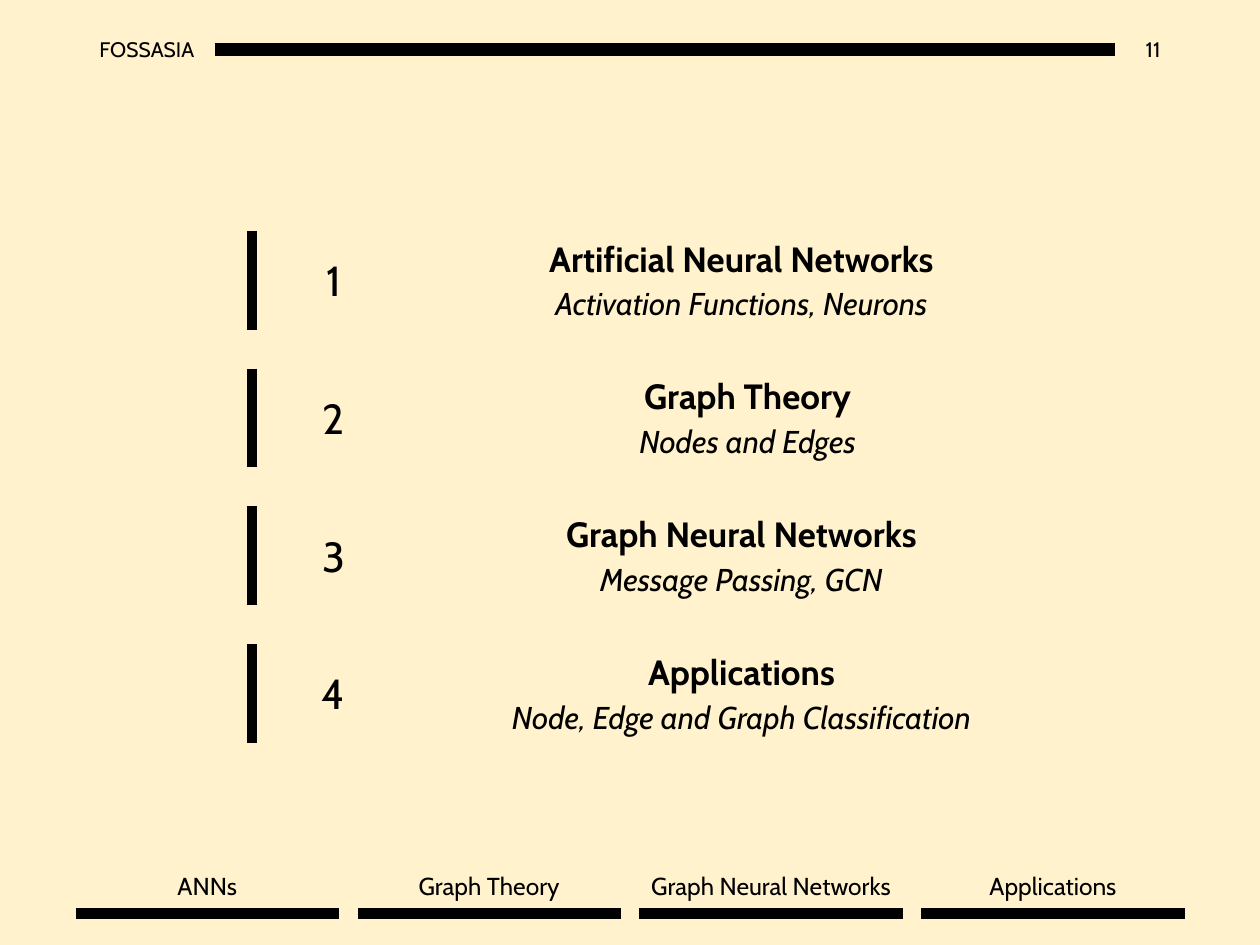
from dataclasses import dataclass

from lxml import etree
from pptx import Presentation
from pptx import util as u
from pptx.dml.color import RGBColor
from pptx.enum import shapes, text
from pptx.oxml.ns import qn

COLORS = {"paper": "FFF2CC", "ink": "000000"}
FONT = "Cabin"
LEFT, CENTER, RIGHT = text.PP_ALIGN.LEFT, text.PP_ALIGN.CENTER, text.PP_ALIGN.RIGHT

TOPIC_TOP, TOPIC_PITCH, TOPIC_HEIGHT = 132, 78.7, 56.4
TOPIC_LEFT, MARKER_X = 233.2, 144
NUMBER_LEFT, NUMBER_WIDTH, NUMBER_DROP = 176.7, 28, 10
TAB_LEFT, TAB_PITCH, TAB_WIDTH, TAB_Y = 43.2, 161.1, 150.5, 522
LABEL_TOP, LABEL_HEIGHT, LABEL_OVERHANG = 494, 24.5, 5
HEADER_Y, HEADER_TOP, HEADER_HEIGHT = 28.3, 13.7, 28.8


@dataclass
class Line:
    words: str
    size: float
    bold: bool = False
    italic: bool = False


@dataclass
class Topic:
    title: str
    details: str
    tab: str
    width: float = 381


TOPICS = [
    Topic("Artificial Neural Networks", "Activation Functions, Neurons", "ANNs"),
    Topic("Graph Theory", "Nodes and Edges", "Graph Theory", 388),
    Topic("Graph Neural Networks", "Message Passing, GCN", "Graph Neural Networks"),
    Topic("Applications", "Node, Edge and Graph Classification", "Applications"),
]


def color(name: str) -> RGBColor:
    return RGBColor.from_string(COLORS[name])


def add_text(page, left: float, top: float, width: float, height: float,
             lines: list[Line], align=CENTER, anchor=text.MSO_ANCHOR.TOP,
             wrap: bool = True) -> None:
    box = page.shapes.add_textbox(u.Pt(left), u.Pt(top), u.Pt(width), u.Pt(height))
    frame = box.text_frame
    frame.word_wrap = wrap
    frame.vertical_anchor = anchor
    for index, line in enumerate(lines):
        para = frame.add_paragraph() if index else frame.paragraphs[0]
        para.alignment = align
        if index:
            para.space_before = u.Pt(3)
        span = para.add_run()
        span.text = line.words
        span.font.color.rgb = color("ink")
        formats = {"name": FONT, "size": u.Pt(line.size),
                   "bold": line.bold, "italic": line.italic}
        for key, value in formats.items():
            setattr(span.font, key, value)


def add_bar(page, x1: float, y1: float, x2: float, y2: float, weight: float = 6) -> None:
    bar = page.shapes.add_connector(
        shapes.MSO_CONNECTOR.STRAIGHT, u.Pt(x1), u.Pt(y1), u.Pt(x2), u.Pt(y2))
    bar.line.color.rgb = color("ink")
    bar.line.width = u.Pt(weight)
    etree.SubElement(bar._element.spPr, qn("a:effectLst"))


def add_header(page) -> None:
    middle = text.MSO_ANCHOR.MIDDLE
    add_text(page, 49.7, HEADER_TOP, 73.4, HEADER_HEIGHT,
             [Line("FOSSASIA", 12)], LEFT, middle)
    add_bar(page, 123.1, HEADER_Y, 637.2, HEADER_Y, 7)
    add_text(page, 637.2, HEADER_TOP, 33.1, HEADER_HEIGHT,
             [Line("11", 12)], RIGHT, middle)


def add_topic(page, index: int, topic: Topic) -> None:
    top = TOPIC_TOP + index * TOPIC_PITCH
    add_bar(page, MARKER_X, top, MARKER_X, top + TOPIC_HEIGHT)
    add_text(page, NUMBER_LEFT, top + NUMBER_DROP, NUMBER_WIDTH, 36,
             [Line(str(index + 1), 24)], wrap=False)
    add_text(page, TOPIC_LEFT, top, topic.width, TOPIC_HEIGHT,
             [Line(topic.title, 20, bold=True), Line(topic.details, 18, italic=True)])


def add_tab(page, index: int, topic: Topic) -> None:
    left = TAB_LEFT + index * TAB_PITCH
    add_text(page, left - LABEL_OVERHANG, LABEL_TOP,
             TAB_WIDTH + 2 * LABEL_OVERHANG, LABEL_HEIGHT,
             [Line(topic.tab, 14)], wrap=False)
    add_bar(page, left, TAB_Y, left + TAB_WIDTH, TAB_Y)


def main() -> None:
    deck = Presentation()
    deck.slide_width, deck.slide_height = u.Pt(720), u.Pt(540)
    page = deck.slides.add_slide(deck.slide_layouts[6])
    page.background.fill.solid()
    page.background.fill.fore_color.rgb = color("paper")
    add_header(page)
    for index, topic in enumerate(TOPICS):
        add_topic(page, index, topic)
        add_tab(page, index, topic)
    deck.save("out.pptx")


if __name__ == "__main__":
    main()
